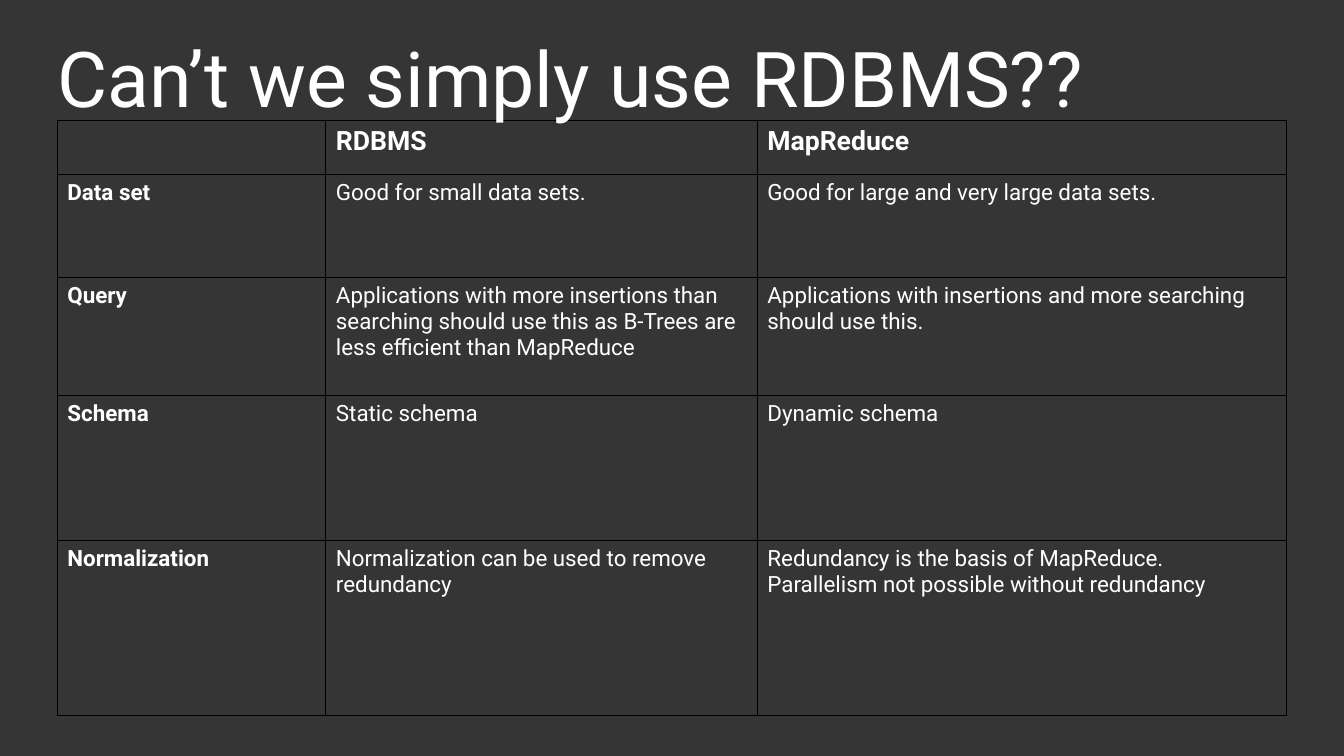
import dataclasses
import pptx
import pptx.dml.color
import pptx.oxml
import pptx.oxml.ns
import pptx.util

Pt = pptx.util.Pt


@dataclasses.dataclass(frozen=True)
class Theme:
    font: str = "Roboto"
    back: str = "363535"
    ink: str = "FFFFFF"
    rule: str = "000000"
    title: int = 55
    head: int = 19
    body: int = 16


class Deck:
    def __init__(self, theme):
        self.theme = theme
        self.file = pptx.Presentation()
        self.file.slide_width = Pt(960)
        self.file.slide_height = Pt(540)
        self.slide = self.file.slides.add_slide(self.file.slide_layouts[6])
        fill = self.slide.background.fill
        fill.solid()
        fill.fore_color.rgb = self.color(theme.back)

    def color(self, code):
        return pptx.dml.color.RGBColor.from_string(code)

    def label(self, frame, text, size, bold=False):
        run = frame.paragraphs[0].add_run()
        run.text = text
        run.font.name = self.theme.font
        run.font.size = Pt(size)
        run.font.bold = bold
        run.font.color.rgb = self.color(self.theme.ink)

    def title(self, text, left, top, width, height):
        box = self.slide.shapes.add_textbox(Pt(left), Pt(top), Pt(width), Pt(height))
        frame = box.text_frame
        frame.word_wrap = True
        frame.margin_left = frame.margin_right = frame.margin_bottom = 0
        frame.margin_top = Pt(4)
        self.label(frame, text, self.theme.title)

    def border(self, cell):
        props = cell._tc.get_or_add_tcPr()
        for side in "LRTB":
            props.append(pptx.oxml.parse_xml(
                f'<a:ln{side} {pptx.oxml.ns.nsdecls("a")} w="{Pt(0.75)}"><a:solidFill>'
                f'<a:srgbClr val="{self.theme.rule}"/></a:solidFill></a:ln{side}>'))

    def table(self, rows, left, top, widths, heights):
        grid = self.slide.shapes.add_table(
            len(rows), len(widths), Pt(left), Pt(top),
            Pt(sum(widths)), Pt(sum(heights))).table
        grid.first_row = grid.horz_banding = False
        for col, width in zip(grid.columns, widths):
            col.width = Pt(width)
        for y, (row, height) in enumerate(zip(rows, heights)):
            grid.rows[y].height = Pt(height)
            for x, text in enumerate(row):
                cell = grid.cell(y, x)
                self.border(cell)
                cell.fill.background()
                if text:
                    size = self.theme.body if y else self.theme.head
                    self.label(cell.text_frame, text, size, x == 0 or y == 0)


rows = [
    ("", "RDBMS", "MapReduce"),
    ("Data set", "Good for small data sets.",
     "Good for large and very large data sets."),
    ("Query",
     "Applications with more insertions than searching should use this "
     "as B-Trees are less efficient than MapReduce",
     "Applications with insertions and more searching should use this."),
    ("Schema", "Static schema", "Dynamic schema"),
    ("Normalization", "Normalization can be used to remove redundancy",
     "Redundancy is the basis of MapReduce. "
     "Parallelism not possible without redundancy"),
]

deck = Deck(Theme())
deck.table(rows, 41, 86, (191.8, 308.2, 378), (38.6, 73.8, 84.4, 103.6, 125))
deck.title("Can’t we simply use RDBMS??", 41, 18, 878, 60)
deck.file.save("out.pptx")
